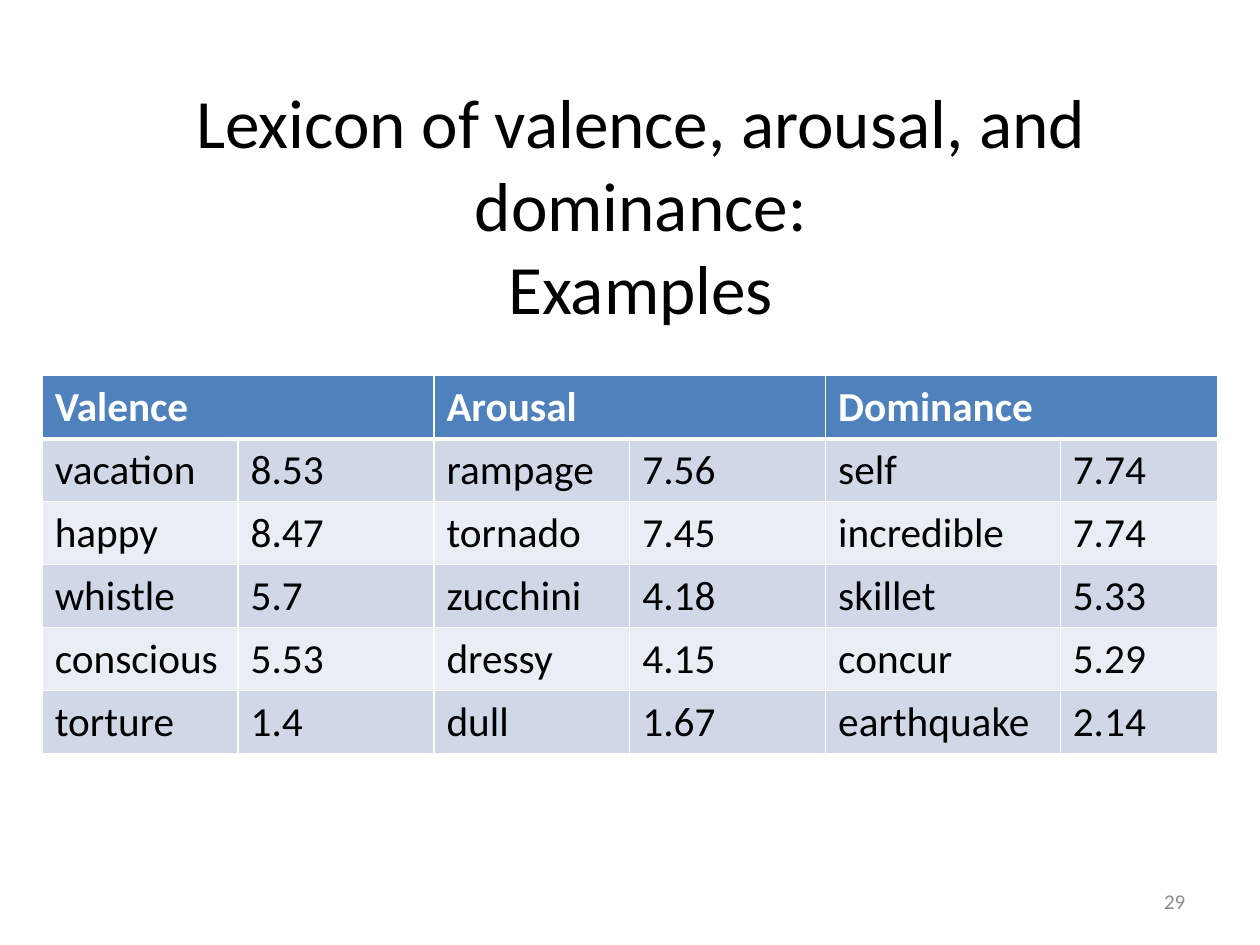
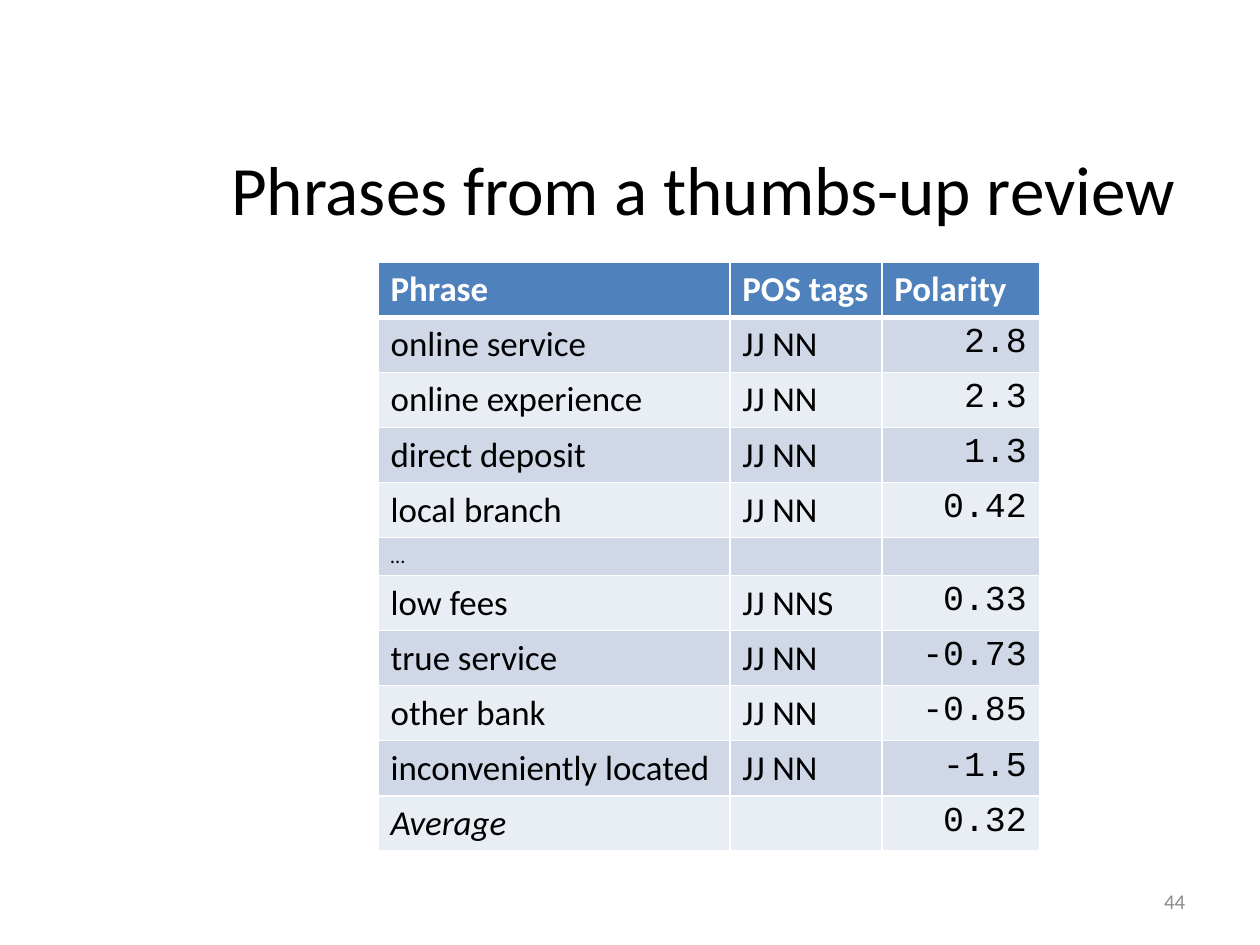
from dataclasses import dataclass
from typing import Optional

from lxml import etree
from pptx import Presentation
from pptx.dml.color import RGBColor
from pptx.enum.text import MSO_ANCHOR, PP_ALIGN
from pptx.oxml.ns import qn
from pptx.slide import Slide
from pptx.table import _Cell
from pptx.util import Pt

LEFT, CENTER, RIGHT = PP_ALIGN.LEFT, PP_ALIGN.CENTER, PP_ALIGN.RIGHT
MIDDLE = MSO_ANCHOR.MIDDLE

BLACK = RGBColor(0x00, 0x00, 0x00)
WHITE = RGBColor(0xFF, 0xFF, 0xFF)
GREY = RGBColor(0x8C, 0x8C, 0x8C)
HEADER_BLUE = RGBColor(0x4F, 0x81, 0xBD)
BANDS = (RGBColor(0xD0, 0xD8, 0xE8), RGBColor(0xE9, 0xED, 0xF4))

FONT, MONO = "Calibri", "Courier New"
BLANK_LAYOUT = 6
SLIDE_W, SLIDE_H = 793.75, 595.25
TITLE_SIZE, NUMBER_SIZE = 43.6, 13.2
CELL_PAD_X, CELL_PAD_Y = 7.92, 3.96
THIN, THICK = 1, 3


@dataclass(frozen=True)
class Box:
    left: float
    top: float
    width: float
    height: float


@dataclass(frozen=True)
class Row:
    cells: tuple[str, ...]
    height: float
    size: float
    italic_label: bool = False


@dataclass(frozen=True)
class Grid:
    left: float
    top: float
    columns: tuple[float, ...]
    rows: list[Row]
    header_span: int = 1
    mono_column: Optional[int] = None


@dataclass(frozen=True)
class Page:
    title: str
    title_box: Box
    number: str
    grid: Grid


NUMBER_BOX = Box(568.8, 551.5, 185, 31.7)

LEXICON = Grid(
    left=26.6, top=236.6,
    columns=(123.4,) * 4 + (147.8, 98.9),
    rows=[Row(cells, 39.7, 26) for cells in (
        ("Valence", "", "Arousal", "", "Dominance", ""),
        ("vacation", "8.53", "rampage", "7.56", "self", "7.74"),
        ("happy", "8.47", "tornado", "7.45", "incredible", "7.74"),
        ("whistle", "5.7", "zucchini", "4.18", "skillet", "5.33"),
        ("conscious", "5.53", "dressy", "4.15", "concur", "5.29"),
        ("torture", "1.4", "dull", "1.67", "earthquake", "2.14"),
    )],
    header_span=2,
)


def phrase_row(*cells: str, italic_label: bool = False) -> Row:
    return Row(cells, 34.7, 22, italic_label)


PHRASES = Grid(
    left=238.2, top=165.3,
    columns=(221.6, 95.8, 99.2),
    rows=[
        phrase_row("Phrase", "POS tags", "Polarity"),
        phrase_row("online service", "JJ NN", "2.8"),
        phrase_row("online experience", "JJ NN", "2.3"),
        phrase_row("direct deposit", "JJ NN", "1.3"),
        phrase_row("local branch", "JJ NN", "0.42"),
        Row(("…", "", ""), 23.8, 13),
        phrase_row("low fees", "JJ NNS", "0.33"),
        phrase_row("true service", "JJ NN", "-0.73"),
        phrase_row("other bank", "JJ NN", "-0.85"),
        phrase_row("inconveniently located", "JJ NN", "-1.5"),
        phrase_row("Average", "", "0.32", italic_label=True),
    ],
    mono_column=2,
)

PAGES = (
    Page("Lexicon of valence, arousal, and dominance:\nExamples",
         Box(39.6, 85.7, 728, 85.7), "29", LEXICON),
    Page("Phrases from a thumbs-up review",
         Box(118.8, 85.7, 648, 64.8), "44", PHRASES),
)


def add_text(slide: Slide, box: Box, text: str, size: float,
             color: RGBColor, align: PP_ALIGN) -> None:
    sp = slide.shapes.add_textbox(Pt(box.left), Pt(box.top), Pt(box.width), Pt(box.height))
    tf = sp.text_frame
    tf.word_wrap = True
    tf.vertical_anchor = MIDDLE
    p = tf.paragraphs[0]
    p.text = text
    p.alignment = align
    p.font.name, p.font.size = FONT, Pt(size)
    p.font.color.rgb = color


def set_borders(cell: _Cell, top: float, bottom: float) -> None:
    """Draw white borders; must run before the fill, which follows them in the XML."""
    tc_pr = cell._tc.get_or_add_tcPr()
    for side, width in (("L", THIN), ("R", THIN), ("T", top), ("B", bottom)):
        ln = etree.SubElement(tc_pr, qn(f"a:ln{side}"), w=str(Pt(width)))
        fill = etree.SubElement(ln, qn("a:solidFill"))
        etree.SubElement(fill, qn("a:srgbClr"), val=str(WHITE))


def fill_cell(cell: _Cell, grid: Grid, r: int, c: int) -> None:
    row, header = grid.rows[r], r == 0
    cell.margin_left = cell.margin_right = Pt(CELL_PAD_X)
    cell.margin_top = cell.margin_bottom = Pt(CELL_PAD_Y)
    set_borders(cell, THICK if r == 1 else THIN, THICK if header else THIN)
    cell.fill.solid()
    cell.fill.fore_color.rgb = HEADER_BLUE if header else BANDS[(r - 1) % 2]

    p = cell.text_frame.paragraphs[0]
    if not row.cells[c]:
        # An empty cell takes its line height from the end mark
        etree.SubElement(p._p, qn("a:endParaRPr"), sz=str(int(row.size * 100)))
        return
    mono = c == grid.mono_column and not header
    p.text = row.cells[c]
    p.alignment = RIGHT if mono else LEFT
    p.font.name, p.font.size = MONO if mono else FONT, Pt(row.size)
    p.font.bold = header
    p.font.italic = row.italic_label and c == 0
    p.font.color.rgb = WHITE if header else BLACK


def add_grid(slide: Slide, grid: Grid) -> None:
    frame = slide.shapes.add_table(
        len(grid.rows), len(grid.columns), Pt(grid.left), Pt(grid.top),
        Pt(sum(grid.columns)), Pt(sum(row.height for row in grid.rows)))
    table = frame.table
    table.first_row = table.horz_banding = False
    for column, width in zip(table.columns, grid.columns):
        column.width = Pt(width)
    for r, row in enumerate(grid.rows):
        table.rows[r].height = Pt(row.height)
        for c in range(len(grid.columns)):
            fill_cell(table.cell(r, c), grid, r, c)
    if grid.header_span > 1:
        for c in range(0, len(grid.columns), grid.header_span):
            table.cell(0, c).merge(table.cell(0, c + grid.header_span - 1))


def main() -> None:
    prs = Presentation()
    prs.slide_width, prs.slide_height = Pt(SLIDE_W), Pt(SLIDE_H)
    for page in PAGES:
        slide = prs.slides.add_slide(prs.slide_layouts[BLANK_LAYOUT])
        add_text(slide, page.title_box, page.title, TITLE_SIZE, BLACK, CENTER)
        add_text(slide, NUMBER_BOX, page.number, NUMBER_SIZE, GREY, RIGHT)
        add_grid(slide, page.grid)
    prs.save("out.pptx")


if __name__ == "__main__":
    main()
